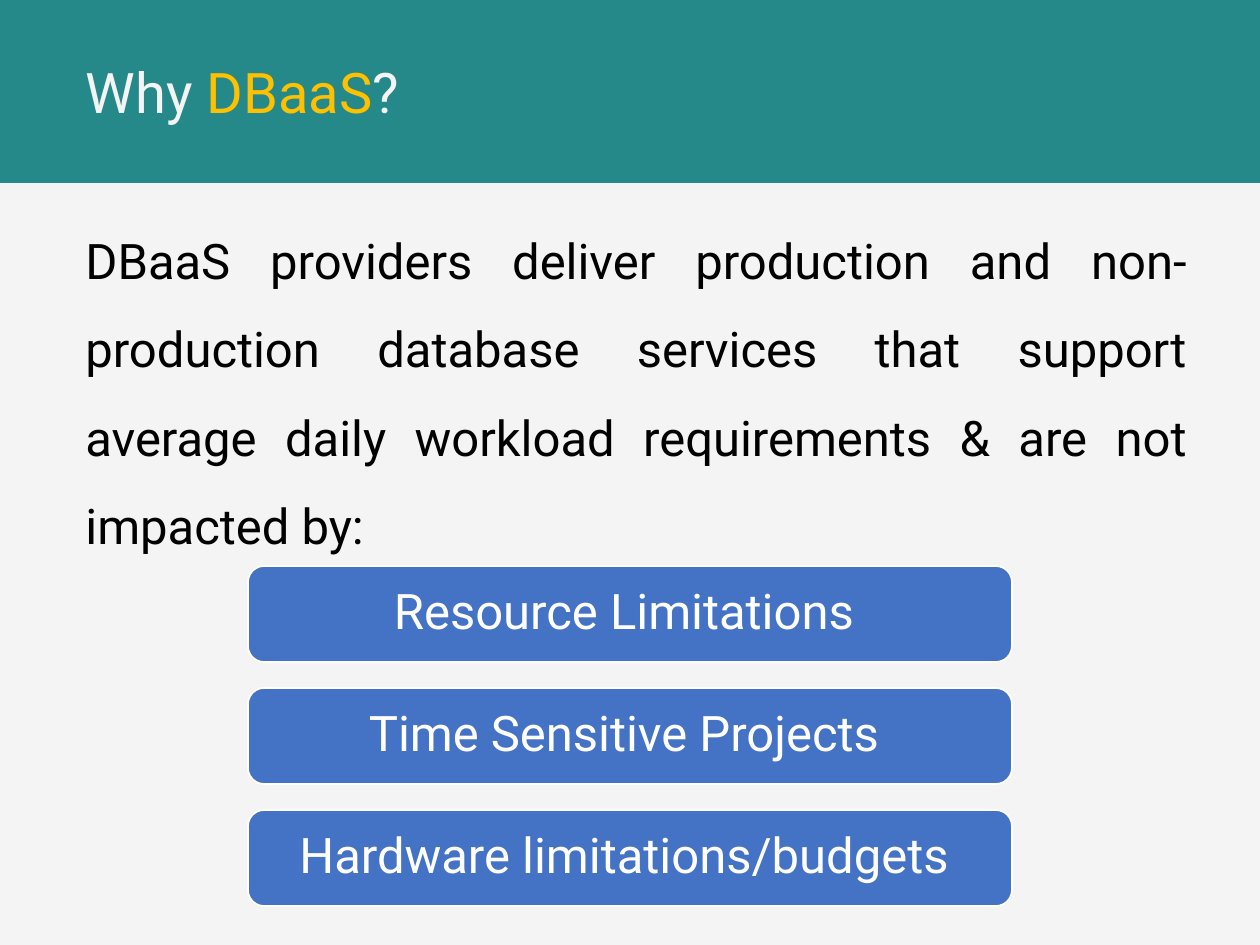
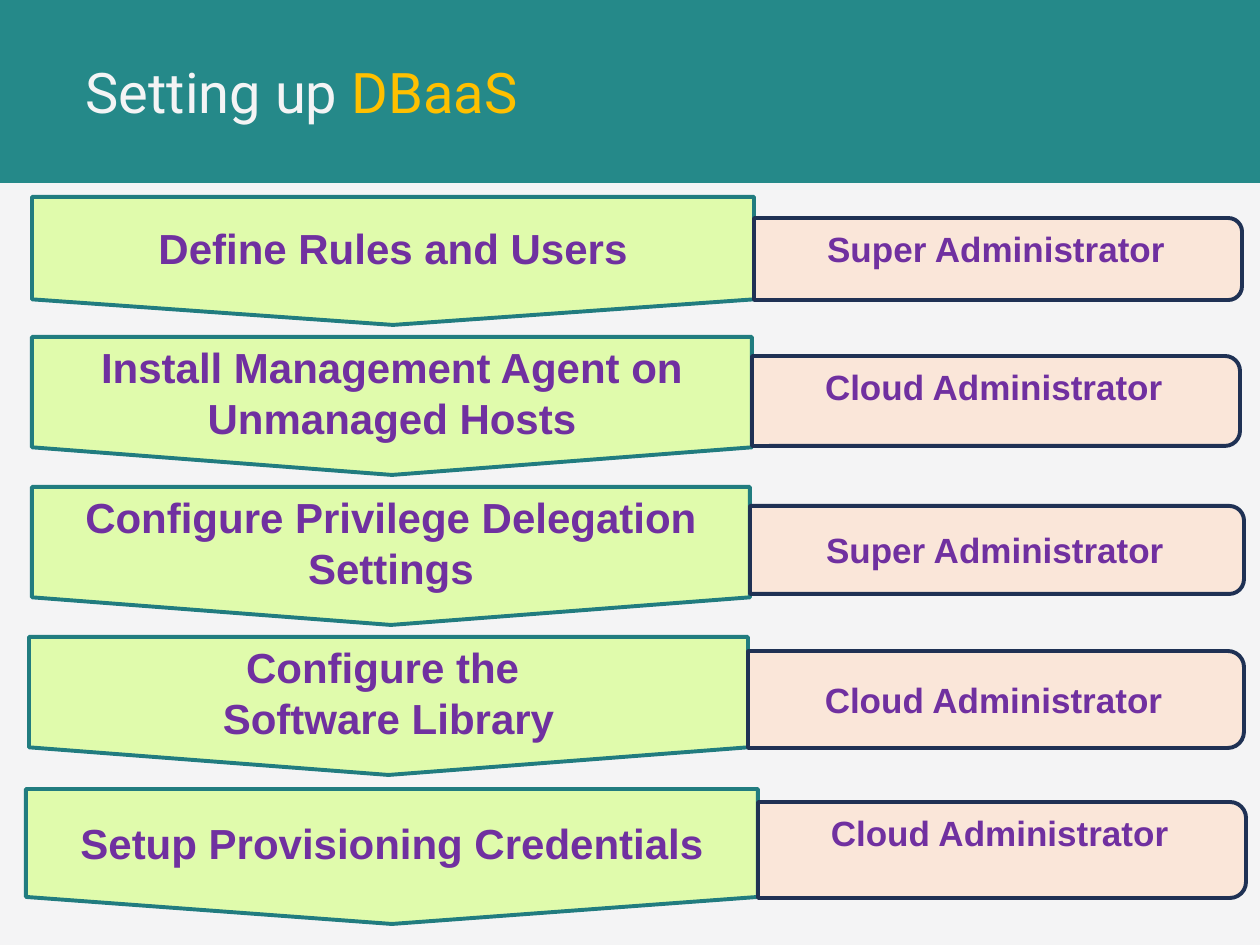
from lxml.etree import SubElement
from pptx import Presentation
from pptx.dml.color import RGBColor
from pptx.enum.shapes import MSO_SHAPE
from pptx.enum.text import MSO_ANCHOR, PP_ALIGN
from pptx.oxml.ns import qn
from pptx.util import Emu, Pt

HUES = {
    "back": "F4F4F5", "band": "258989", "gold": "FFC000", "ink": "000000",
    "pill": "4472C4", "white": "FFFFFF", "step": "E0FBAC", "edge": "217C7F",
    "role": "FBE5D6", "navy": "1F3154", "plum": "7030A0",
}
WIDE, HIGH, BAND = 1260, 945, 183
LEFT = 73
REASONS = ["Resource Limitations ", "Time Sensitive Projects ",
           "Hardware limitations/budgets "]
STEPS = [
    ((32, 197, 722, 128), "Define Rules and Users"),
    ((32, 337, 720, 138), "Install Management Agent on Unmanaged Hosts"),
    ((32, 487, 718, 138), "Configure Privilege Delegation Settings"),
    ((29, 637, 719, 138), "Configure the \nSoftware Library"),
    ((26, 789, 732, 135), "Setup Provisioning Credentials"),
]
ROLES = [
    ((218, 488, 82), "Super Administrator", MSO_ANCHOR.TOP),
    ((356, 488, 90), "Cloud Administrator", MSO_ANCHOR.TOP),
    ((506, 494, 88), "Super Administrator", MSO_ANCHOR.MIDDLE),
    ((651, 496, 97), "Cloud Administrator", MSO_ANCHOR.MIDDLE),
    ((802, 488, 96), "Cloud Administrator", MSO_ANCHOR.TOP),
]


def px(num):
    """Turn px into EMU."""
    return Emu(round(num * 914400 / 126))


def hue(name):
    """Look up a colour by name."""
    return RGBColor.from_string(HUES[name])


def draw(slide, kind, box, fill, edge=None, width=1):
    """Add a flat preset shape."""
    shape = slide.shapes.add_shape(kind, *map(px, box))
    shape.shadow.inherit = False
    shape.fill.solid()
    shape.fill.fore_color.rgb = hue(fill)
    if edge:
        shape.line.color.rgb = hue(edge)
        shape.line.width = Pt(width)
    else:
        shape.line.fill.background()
    return shape


def write(shape, text, face, size, tint, bold=False, align=PP_ALIGN.CENTER,
          gap=None):
    """Fill a shape with evenly styled text."""
    frame = shape.text_frame
    frame.word_wrap = True
    frame.text = text
    for para in frame.paragraphs:
        para.alignment = align
        para.line_spacing = gap
        font = para.font
        font.name, font.size, font.bold = face, Pt(size), bold
        font.color.rgb = hue(tint)
    return frame


def dress(deck, layout, slide):
    """Set the shared background and move the band to the layout."""
    fill = deck.slide_master.background.fill
    fill.solid()
    fill.fore_color.rgb = hue("back")
    band = draw(slide, MSO_SHAPE.RECTANGLE, (0, 0, WIDE, BAND), "band")
    layout.shapes.element.insert(2, band.element)


def head(slide, *parts):
    """Place the title and colour its parts."""
    title = slide.shapes.title
    title.left, title.top = px(LEFT), px(0)
    title.width, title.height = px(WIDE - LEFT), px(BAND)
    frame = title.text_frame
    frame.vertical_anchor = MSO_ANCHOR.MIDDLE
    para = frame.paragraphs[0]
    para.alignment = PP_ALIGN.LEFT
    para.font.name, para.font.size = "Roboto", Pt(32)
    for text, tint in parts:
        run = para.add_run()
        run.text = text
        run.font.color.rgb = hue(tint)


def pill(slide, top, text):
    """Add one rounded reason bar."""
    shape = draw(slide, MSO_SHAPE.ROUNDED_RECTANGLE, (248, top, 764, 96),
                 "pill", "white")
    frame = write(shape, text, "Roboto", 28, "white", gap=0.9)
    frame.vertical_anchor = MSO_ANCHOR.MIDDLE


def step(slide, box, text):
    """Add one pointed step."""
    shape = draw(slide, MSO_SHAPE.FLOWCHART_OFFPAGE_CONNECTOR, box,
                 "step", "edge", 2.25)
    frame = write(shape, text, "Arial", 24, "plum", True)
    frame.vertical_anchor = MSO_ANCHOR.MIDDLE


def role(slide, box, text, anchor):
    """Add a role card, turned so its right corners are round."""
    left, top, wide, high = box
    shift = (wide - high) / 2
    shape = draw(slide, MSO_SHAPE.ROUND_2_SAME_RECTANGLE,
                 (left + shift, top - shift, high, wide),
                 "role", "navy", 2.25)
    shape.rotation = 90
    tone = shape.fill.fore_color._xFill.find(qn("a:srgbClr"))
    SubElement(tone, qn("a:alpha")).set("val", "90000")
    frame = write(shape, text, "Arial", 20, "plum", True)
    frame.vertical_anchor = anchor
    frame.margin_left = frame.margin_right = px(5)
    frame.margin_top = frame.margin_bottom = px(5)
    shape.element.txBody.bodyPr.set("vert", "vert270")


def why(slide):
    """Build the reasons slide."""
    head(slide, ("Why ", "back"), ("DBaaS", "gold"), ("?", "back"))
    body = slide.shapes.add_textbox(px(LEFT), px(195), px(1126), px(737))
    write(body, "DBaaS providers deliver production and non-production "
          "database services that support average daily workload "
          "requirements & are not impacted by: ",
          "Roboto", 28, "ink", align=PP_ALIGN.JUSTIFY, gap=1.5)
    for row, text in enumerate(REASONS):
        pill(slide, 566 + 122 * row, text)


def setup(slide):
    """Build the set-up slide."""
    head(slide, ("Setting up ", "back"), ("DBaaS", "gold"))
    for box, text in STEPS:
        step(slide, box, text)
    for (box, _), ((top, wide, high), text, anchor) in zip(STEPS, ROLES):
        role(slide, (box[0] + box[2], top, wide, high), text, anchor)


def main():
    """Build and save the deck."""
    deck = Presentation()
    deck.slide_width, deck.slide_height = px(WIDE), px(HIGH)
    layout = deck.slide_layouts[5]
    first, second = (deck.slides.add_slide(layout) for _ in range(2))
    dress(deck, layout, first)
    why(first)
    setup(second)
    deck.save("out.pptx")


if __name__ == "__main__":
    main()
